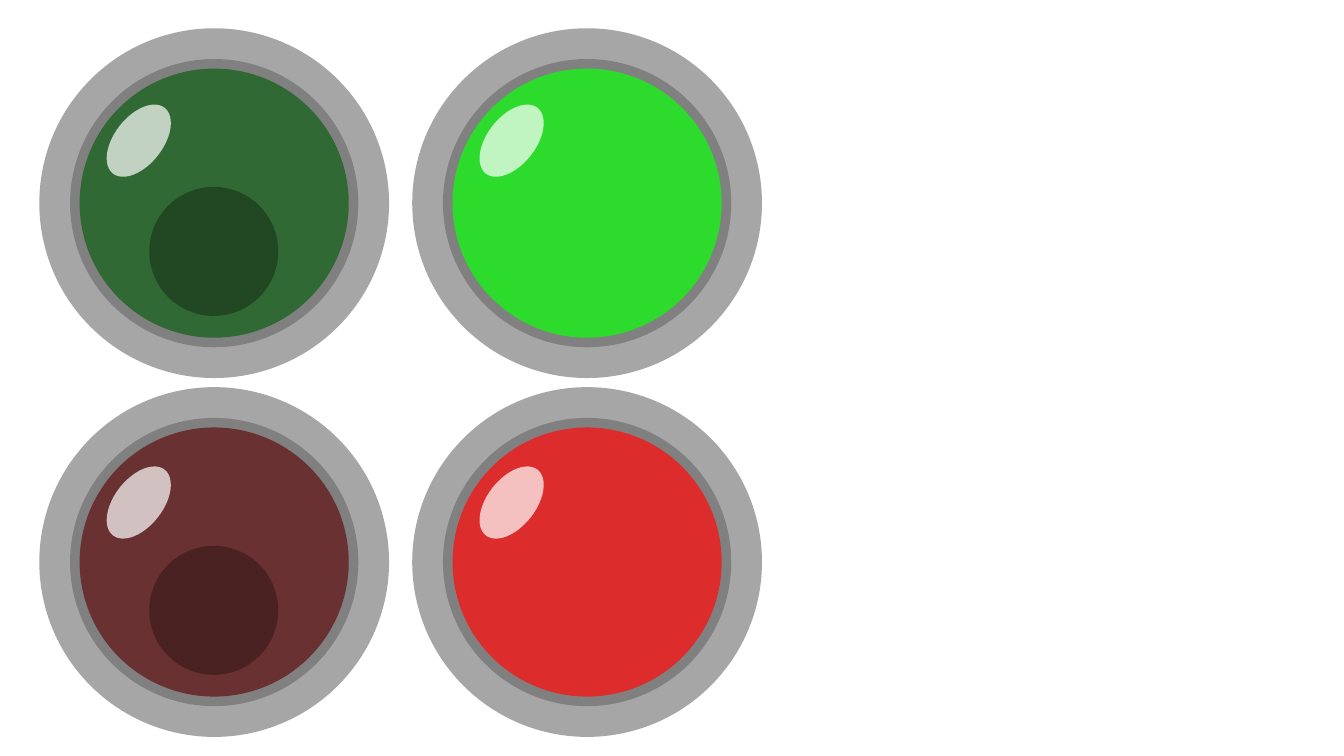
from dataclasses import dataclass
from lxml.etree import SubElement
from pptx import Presentation
from pptx.dml.color import RGBColor
from pptx.enum.shapes import MSO_SHAPE
from pptx.oxml.ns import qn
from pptx.util import Pt


@dataclass(frozen=True)
class Theme:
    bezel: str = "A6A6A6"
    groove: str = "808080"
    glint: str = "FFFFFF"
    glint_opacity: int = 70
    green_off: str = "316934"
    green_core: str = "214723"
    green_on: str = "2DDB2D"
    red_off: str = "693131"
    red_core: str = "4A2222"
    red_on: str = "DC2C2C"


THEME = Theme()
LAMP_SIZE = 249.84
GROOVE_SIZE = 205.9
LENS_SIZE = 192.24
CORE_SIZE = 92.16
GLINT_SIZE = (34.56, 59.76)
GLINT_ANGLE = 38.2
PANEL_BOX = (28.1, 20.2, 516.2, 506.2)


def add_disc(slide, center, size, color, rotation=0, opacity=100):
    (x, y), (width, height) = center, size
    disc = slide.shapes.add_shape(
        MSO_SHAPE.OVAL, Pt(x - width / 2), Pt(y - height / 2), Pt(width), Pt(height)
    )
    disc.shadow.inherit = False
    disc.rotation = rotation
    disc.fill.solid()
    disc.fill.fore_color.rgb = RGBColor.from_string(color)
    disc.line.fill.background()
    if opacity < 100:
        tint = disc.fill._xPr.find(qn("a:solidFill"))[0]
        SubElement(tint, qn("a:alpha"), val=str(opacity * 1000))


def add_lamp(slide, box, lens_color, core_color, glint_drop):
    left, top, size = box
    center = (left + size / 2, top + size / 2)
    rings = (
        (size, THEME.bezel),
        (GROOVE_SIZE, THEME.groove),
        (LENS_SIZE, lens_color),
    )
    for diameter, color in rings:
        add_disc(slide, center, (diameter, diameter), color)
    add_disc(slide, (left + 71, top + glint_drop), GLINT_SIZE, THEME.glint,
             GLINT_ANGLE, THEME.glint_opacity)
    if core_color:
        add_disc(slide, (left + 124.6, top + 159.4), (CORE_SIZE, CORE_SIZE), core_color)


def add_lamp_panel(slide, box):
    left, top, width, height = box
    column_step, row_step = width - LAMP_SIZE, height - LAMP_SIZE
    lamp_rows = (
        (80.3, ((THEME.green_off, THEME.green_core), (THEME.green_on, None))),
        (82.4, ((THEME.red_off, THEME.red_core), (THEME.red_on, None))),
    )
    for row, (glint_drop, lamps) in enumerate(lamp_rows):
        for column, (lens_color, core_color) in enumerate(lamps):
            lamp_box = (left + column * column_step, top + row * row_step, LAMP_SIZE)
            add_lamp(slide, lamp_box, lens_color, core_color, glint_drop)


deck = Presentation()
deck.slide_width, deck.slide_height = Pt(960), Pt(540)
lamp_slide = deck.slides.add_slide(deck.slide_layouts[6])
add_lamp_panel(lamp_slide, PANEL_BOX)
deck.save("out.pptx")
